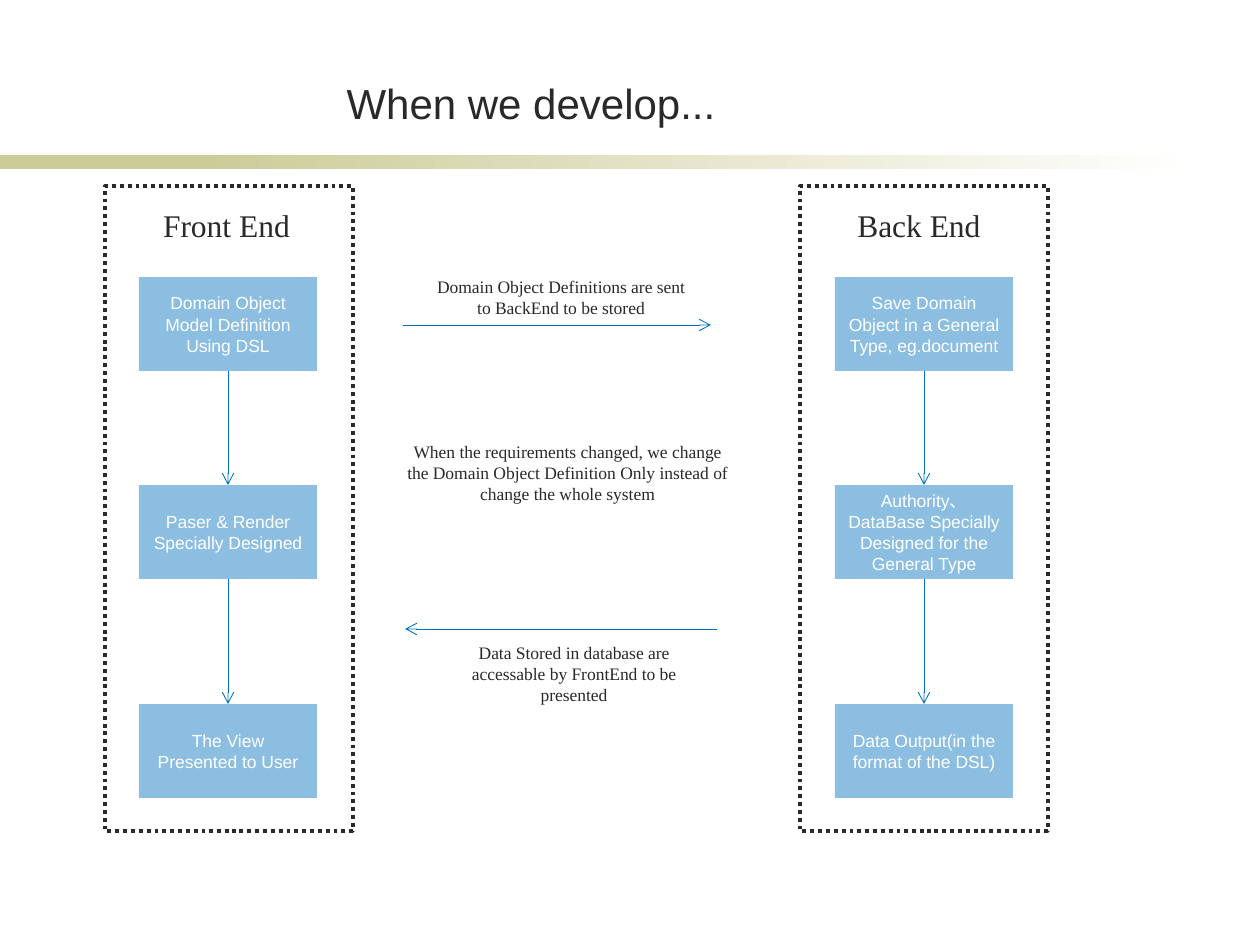
from lxml.etree import SubElement
from pptx import Presentation
from pptx.dml.color import RGBColor
from pptx.enum.dml import MSO_LINE
from pptx.enum.shapes import MSO_CONNECTOR, MSO_SHAPE
from pptx.enum.text import MSO_ANCHOR, MSO_AUTO_SIZE, PP_ALIGN
from pptx.oxml.ns import qn
from pptx.util import Emu, Pt

SCALE = 914400 / 126  # EMU per px

INK = RGBColor(0x29, 0x29, 0x29)
BLUE = RGBColor(0x00, 0x70, 0xC0)
SAND = RGBColor(0xCC, 0xCC, 0x99)
WHITE = RGBColor(0xFF, 0xFF, 0xFF)

SANS = "Arial"
SERIF = "Times New Roman"

# Vertical grid shared by both panels
ROWS = (277, 485, 704)
BOX_W, BOX_H = 178, 94

# Panel left, box left, heading (text, left, width), steps
PANELS = (
    (105, 139, ("Front End", 139, 175), (
        "Domain Object Model Definition Using DSL",
        "Paser & Render Specially Designed",
        "The View Presented to User",
    )),
    (800, 835, ("Back End", 800, 238), (
        "Save Domain Object in a General Type, eg.document",
        "Authority、DataBase Specially Designed for the General Type",
        "Data Output(in the format of the DSL)",
    )),
)

NOTES = (
    ("Domain Object Definitions are sent to BackEnd to be stored",
     (423, 270, 276, 55)),
    ("When the requirements changed, we change the Domain Object "
     "Definition Only instead of change the whole system",
     (391, 435, 353, 76)),
    ("Data Stored in database are accessable by FrontEnd to be presented",
     (438, 636, 272, 76)),
)


def px(*nums):
    return [Emu(round(n * SCALE)) for n in nums]


def write(shape, text, size=10, font=SERIF, color=INK, anchor=MSO_ANCHOR.TOP):
    frame = shape.text_frame
    frame.word_wrap = True
    frame.auto_size = MSO_AUTO_SIZE.NONE
    frame.vertical_anchor = anchor
    para = frame.paragraphs[0]
    para.alignment = PP_ALIGN.CENTER
    run = para.add_run()
    run.text = text
    run.font.size = Pt(size)
    run.font.name = font
    run.font.color.rgb = color


def add_rect(slide, *area):
    rect = slide.shapes.add_shape(MSO_SHAPE.RECTANGLE, *px(*area))
    rect.shadow.inherit = False
    rect.line.fill.background()
    return rect


def add_band(slide):
    solid = add_rect(slide, 0, 155, 294, 14)
    solid.fill.solid()
    solid.fill.fore_color.rgb = SAND
    fade = add_rect(slide, 199, 155, 998, 14)
    fade.fill.gradient()
    fade.fill.gradient_angle = 0
    for stop, color in zip(fade.fill.gradient_stops, (SAND, WHITE)):
        stop.color.rgb = color


def add_frame(slide, left):
    frame = add_rect(slide, left, 186, 248, 645)
    frame.fill.background()
    frame.line.color.rgb = INK
    frame.line.width = Pt(2.25)
    frame.line.dash_style = MSO_LINE.ROUND_DOT


def add_box(slide, text, left, top):
    box = add_rect(slide, left, top, BOX_W, BOX_H)
    box.fill.solid()
    box.fill.fore_color.rgb = BLUE
    tint = box.fill._xPr.find(".//" + qn("a:srgbClr"))
    SubElement(tint, qn("a:alpha"), val="45000")
    write(box, text, font=SANS, color=WHITE, anchor=MSO_ANCHOR.MIDDLE)


def add_label(slide, text, area, size=10):
    write(slide.shapes.add_textbox(*px(*area)), text, size=size)


def add_arrow(slide, *ends):
    arrow = slide.shapes.add_connector(MSO_CONNECTOR.STRAIGHT, *px(*ends))
    arrow.line.color.rgb = BLUE
    arrow.line.width = Pt(0.5)
    SubElement(arrow.line._get_or_add_ln(), qn("a:tailEnd"), type="arrow")
    SubElement(arrow._element.spPr, qn("a:effectLst"))


def add_panel(slide, left, box_left, head, steps):
    add_frame(slide, left)
    name, head_left, width = head
    add_label(slide, name, (head_left, 200, width, 50), size=18)
    for step, top in zip(steps, ROWS):
        add_box(slide, step, box_left, top)
    mid = box_left + BOX_W // 2
    for top, low in zip(ROWS, ROWS[1:]):
        add_arrow(slide, mid, top + BOX_H, mid, low)


def add_title(slide, text):
    title = slide.shapes.title
    title.left, title.top, title.width, title.height = px(144, 55, 774, 79)
    write(title, text, size=24, font=SANS, anchor=MSO_ANCHOR.BOTTOM)


def main():
    deck = Presentation()
    deck.slide_width, deck.slide_height = px(1260, 945)
    slide = deck.slides.add_slide(deck.slide_layouts[5])

    # Title and band
    add_band(slide)
    add_title(slide, "When we develop...")

    # Front and back end
    for panel in PANELS:
        add_panel(slide, *panel)

    # Exchange between the two ends
    add_arrow(slide, 403, 325, 711, 325)
    add_arrow(slide, 717, 629, 405, 629)
    for text, area in NOTES:
        add_label(slide, text, area)

    deck.save("out.pptx")


if __name__ == "__main__":
    main()
